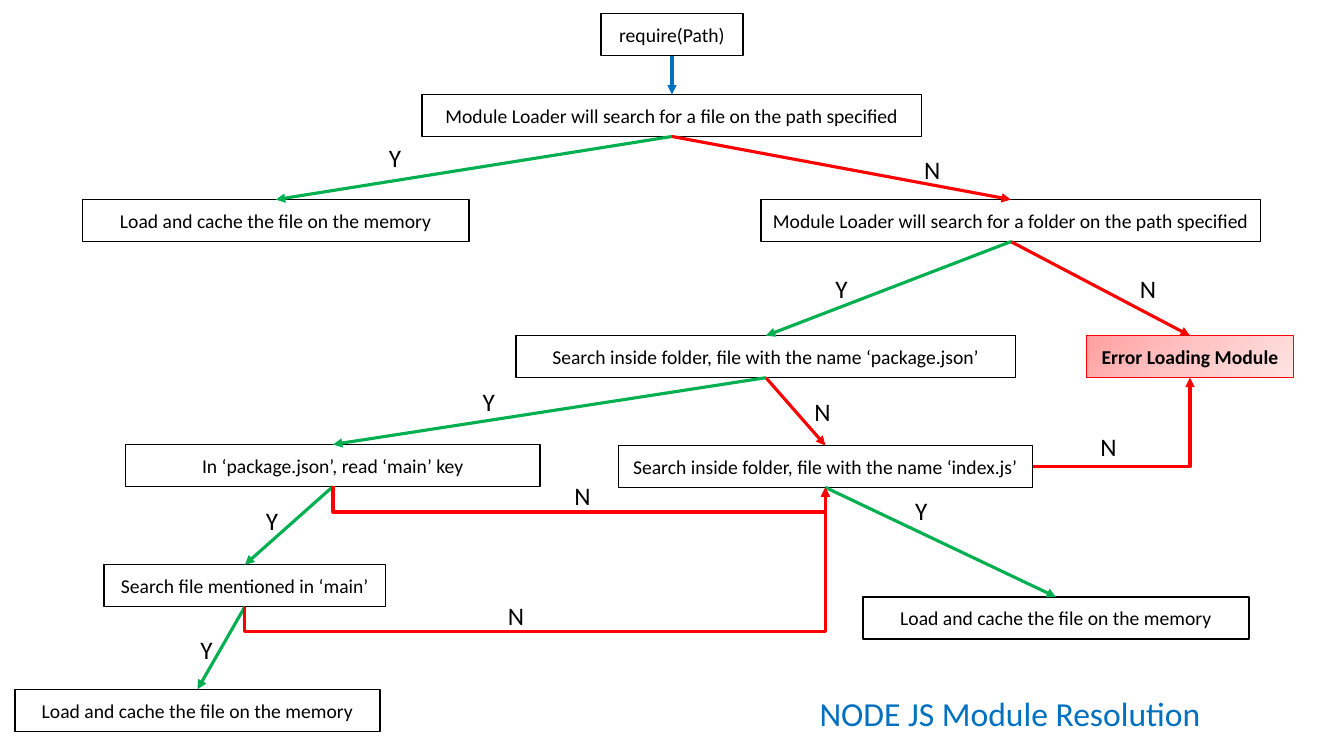
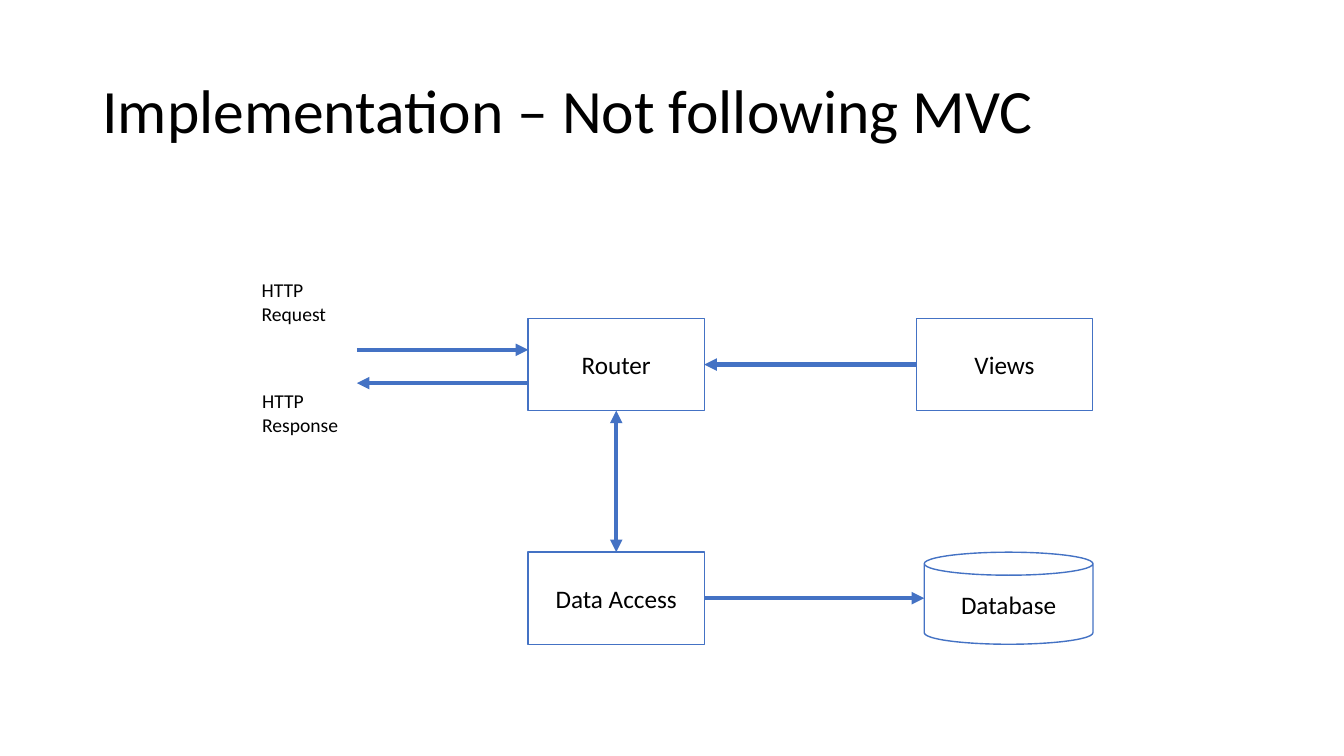
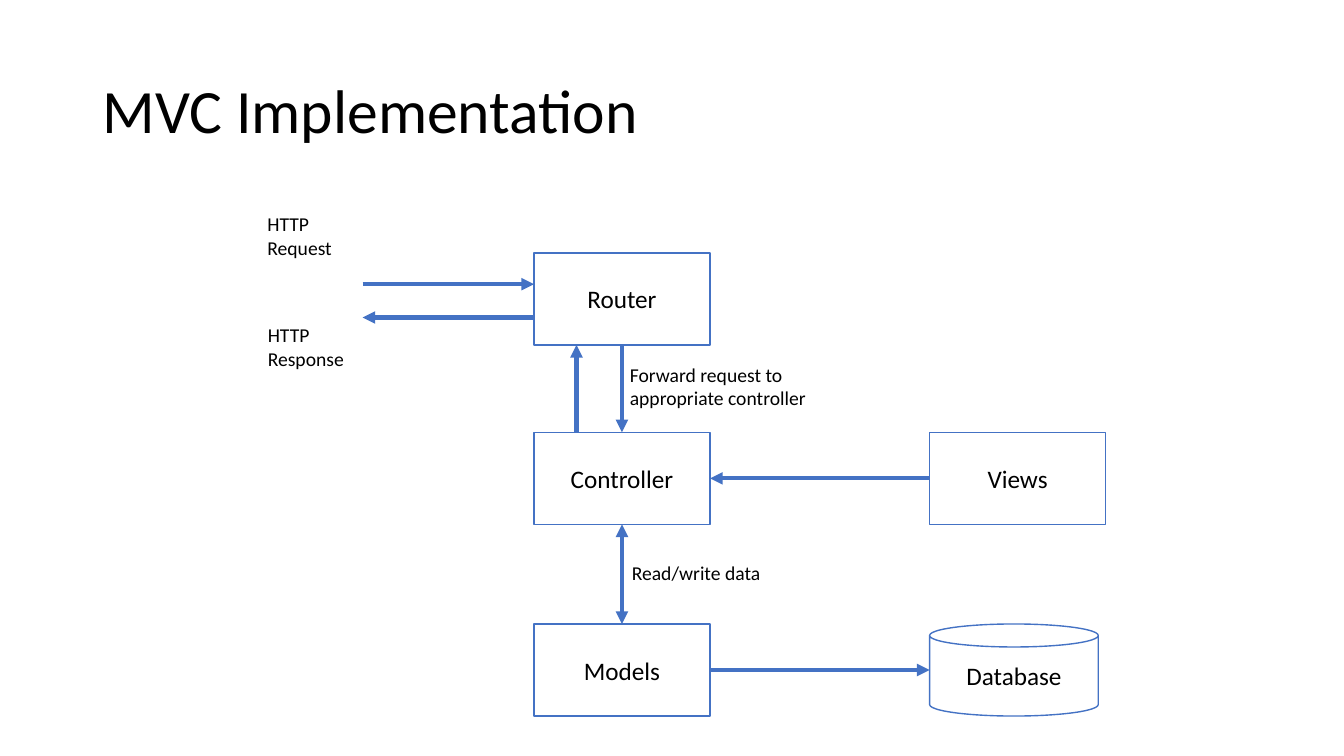
"""Draw the module resolution flow and two web application diagrams."""
import copy

import pptx
import pptx.dml.color
import pptx.enum.shapes
import pptx.enum.text
import pptx.oxml.ns
import pptx.oxml.xmlchemy
import pptx.util

Pt = pptx.util.Pt
RGBColor = pptx.dml.color.RGBColor
Shape = pptx.enum.shapes.MSO_SHAPE
Wire = pptx.enum.shapes.MSO_CONNECTOR
Align = pptx.enum.text.PP_ALIGN
Anchor = pptx.enum.text.MSO_ANCHOR
Fit = pptx.enum.text.MSO_AUTO_SIZE
qn = pptx.oxml.ns.qn
Element = pptx.oxml.xmlchemy.OxmlElement

BLACK = RGBColor(0x00, 0x00, 0x00)
WHITE = RGBColor(0xFF, 0xFF, 0xFF)
BLUE = RGBColor(0x00, 0x70, 0xC0)
GREEN = RGBColor(0x00, 0xB0, 0x50)
RED = RGBColor(0xFF, 0x00, 0x00)
STEEL = RGBColor(0x44, 0x72, 0xC4)
BLUSH = [RGBColor(0xFF, 0xA0, 0xA0), RGBColor(0xFF, 0xC5, 0xC5), RGBColor(0xFF, 0xE3, 0xE3)]
FONT = "Calibri"
TOP, LEFT, BOTTOM, RIGHT = range(4)


def put(slide, text, area, size, edge=None, kind=Shape.RECTANGLE):
    """Add a framed box when an edge colour is given, else a plain label."""
    area = [Pt(v) for v in area]
    if edge is None:
        item = slide.shapes.add_textbox(*area)
        item.text_frame.word_wrap = False
        item.text_frame.auto_size = Fit.SHAPE_TO_FIT_TEXT
    else:
        item = slide.shapes.add_shape(kind, *area)
        item.shadow.inherit = False
        item.fill.solid()
        item.fill.fore_color.rgb = WHITE
        item.line.color.rgb = edge
        item.line.width = Pt(1)
        item.text_frame.vertical_anchor = Anchor.MIDDLE
    item.text_frame.text = text
    for para in item.text_frame.paragraphs:
        para.alignment = Align.LEFT if edge is None else Align.CENTER
        for run in para.runs:
            run.font.name = FONT
            run.font.size = Pt(size)
            run.font.color.rgb = BLACK
    return item


def arrow(slide, color, weight, ends=(0, 0, 0, 0), kind=Wire.STRAIGHT, both=False):
    """Add a connector with a triangle at its end, or at both ends."""
    wire = slide.shapes.add_connector(kind, *[Pt(v) for v in ends])
    wire.line.color.rgb = color
    wire.line.width = Pt(weight)
    line = wire._element.spPr.find(qn("a:ln"))
    for tag in ["a:headEnd", "a:tailEnd"] if both else ["a:tailEnd"]:
        tip = Element(tag)
        tip.set("type", "triangle")
        line.append(tip)
    wire._element.spPr.append(Element("a:effectLst"))
    return wire


deck = pptx.Presentation()
deck.slide_width = Pt(960)
deck.slide_height = Pt(540)

HEAD = (66, 28.8, 828, 104.4)
slides = []
for text, area, size, color in [
    ("NODE JS Module Resolution", (578.2, 493.2, 289.4, 36), 24, BLUE),
    ("Implementation – Not following MVC", HEAD, 44, BLACK),
    ("MVC Implementation", HEAD, 44, BLACK),
]:
    slide = deck.slides.add_slide(deck.slide_layouts[5])
    title = slide.shapes.title
    title.left, title.top, title.width, title.height = [Pt(v) for v in area]
    frame = title.text_frame
    frame.text = text
    frame.word_wrap = True
    frame.auto_size = Fit.NONE
    frame.vertical_anchor = Anchor.MIDDLE
    para = frame.paragraphs[0]
    para.alignment = Align.LEFT
    para.line_spacing = 0.9
    font = para.runs[0].font
    font.name = FONT
    font.size = Pt(size)
    font.color.rgb = color
    slides.append(slide)

flow, plain, layered = slides

CACHE = "Load and cache the file on the memory"
steps = {}
for name, text, x, y, w in [
    ("start", "require(Path)", 429.3, 9.7, 101.4),
    ("file", "Module Loader will search for a file on the path specified", 301.5, 67.5, 357),
    ("hit", CACHE, 59, 142.6, 276),
    ("folder", "Module Loader will search for a folder on the path specified", 543.6, 142.6, 357),
    ("error", "Error Loading Module", 776.2, 239.8, 147.6),
    ("pack", "Search inside folder, file with the name ‘package.json’", 368.6, 239.8, 357),
    ("index", "Search inside folder, file with the name ‘index.js’", 441.6, 318.2, 296),
    ("main", "In ‘package.json’, read ‘main’ key", 89.8, 317.5, 296),
    ("found", CACHE, 616.3, 426.4, 276),
    ("named", "Search file mentioned in ‘main’", 74.4, 403.4, 201),
    ("done", CACHE, 10.8, 492.4, 260.6),
]:
    edge = RED if name == "error" else BLACK
    steps[name] = put(flow, text, (x, y, w, 30), 14, edge)

error = steps["error"]
error.text_frame.paragraphs[0].runs[0].font.bold = True
error.fill.gradient()
error.fill.gradient_angle = 315
stops = error._element.spPr.find(".//" + qn("a:gsLst"))
stops.insert(1, copy.deepcopy(stops[0]))
for stop, color, place in zip(error.fill.gradient_stops, BLUSH, (0, 0.5, 1)):
    stop.color.rgb = color
    stop.position = place

for a, b, color in [
    ("start", "file", BLUE),
    ("file", "hit", GREEN),
    ("file", "folder", RED),
    ("folder", "error", RED),
    ("folder", "pack", GREEN),
    ("pack", "index", RED),
    ("pack", "main", GREEN),
    ("index", "found", GREEN),
    ("main", "named", GREEN),
    ("named", "done", GREEN),
]:
    wire = arrow(flow, color, 2.25)
    wire.begin_connect(steps[a], BOTTOM)
    wire.end_connect(steps[b], TOP)

wire = arrow(flow, RED, 2.25, kind=Wire.ELBOW)
wire.begin_connect(steps["index"], RIGHT)
wire.end_connect(error, BOTTOM)
wire._element.spPr.find(qn("a:prstGeom")).set("prst", "bentConnector2")

DROP = Pt(18)
for name, turn, flips, sign in [
    ("main", 270, ["flipH"], 1),
    ("named", 90, ["flipH", "flipV"], -1),
]:
    wire = arrow(flow, RED, 2.25, kind=Wire.ELBOW)
    wire.begin_connect(steps[name], BOTTOM)
    wire.end_connect(steps["index"], BOTTOM)
    wide, high = wire.width, wire.height
    wire.left += (wide - high) // 2
    wire.top += (high - wide) // 2
    wire.width, wire.height = high, wide
    form = wire._element.spPr.find(qn("a:xfrm"))
    for flip in ["flipH", "flipV"]:
        form.set(flip, "1" if flip in flips else "0")
    form.set("rot", str(turn * 60000))
    shape = wire._element.spPr.find(qn("a:prstGeom"))
    guide = Element("a:gd")
    guide.set("name", "adj1")
    guide.set("fmla", f"val {round(sign * DROP / high * 100000)}")
    shape.get_or_add_avLst().append(guide)

for text, w, spots in [
    ("Y", 23, [(270.7, 97.9), (589.7, 191.5), (337.7, 272.2), (646.6, 350.6),
               (182.9, 357.1), (136.1, 449.3)]),
    ("N", 26, [(653, 106.6), (807.1, 191.5), (574.6, 279.4), (779, 304.6),
               (403.2, 339.8), (355.7, 425.5)]),
]:
    for x, y in spots:
        put(flow, text, (x, y, w, 28.8), 18)

WIDE, HIGH = 125.8, 65.8
for slide, x, y, boxes, store, joins, notes in [
    (plain, 377.3, 227.5,
     [("Data Access", 377.3, 394.4), ("Views", 654.7, 227.5)],
     (660.2, 394.4),
     [("Router", "Data Access", BOTTOM, TOP, True), ("Views", "Router", LEFT, RIGHT, False)],
     []),
    (layered, 381.4, 180.6,
     [("Models", 381.4, 445.7), ("Views", 664, 308.8), ("Controller", 381.4, 308.8)],
     (664, 445.7),
     [("Controller", "Models", BOTTOM, TOP, True),
      ("Views", "Controller", LEFT, RIGHT, False),
      ("Router", "Controller", BOTTOM, TOP, False)],
     [("Forward request to\nappropriate controller", (442.8, 255.6, 141.8, 41)),
      ("Read/write data", (444.2, 397.4, 107.3, 24.5))]),
]:
    parts = {}
    for name, left, top in [("Router", x, y)] + boxes:
        parts[name] = put(slide, name, (left, top, WIDE, HIGH), 18, STEEL)
    put(slide, "Database", (*store, 120.5, HIGH), 18, STEEL, Shape.CAN)

    for a, b, out, into, both in joins:
        wire = arrow(slide, STEEL, 3, both=both)
        wire.begin_connect(parts[a], out)
        wire.end_connect(parts[b], into)
    mid = store[1] + HIGH / 2
    wire = arrow(slide, STEEL, 3, (x + WIDE, mid, store[0], mid))
    wire.begin_connect(parts[boxes[0][0]], RIGHT)

    arrow(slide, STEEL, 3, (x - 122.4, y + 22.4, x, y + 22.4))
    arrow(slide, STEEL, 3, (x, y + 46.2, x - 122.4, y + 46.2))
    put(slide, "HTTP\nRequest", (x - 197.5, y - 32.4, 69.8, 53.3), 14)
    put(slide, "HTTP\nResponse", (x - 197.2, y + 46.8, 79.2, 53.3), 14)
    for text, area in notes:
        put(slide, text, area, 14)

arrow(layered, STEEL, 3, (411.8, 308.8, 411.8, 246.4))

deck.save("out.pptx")
